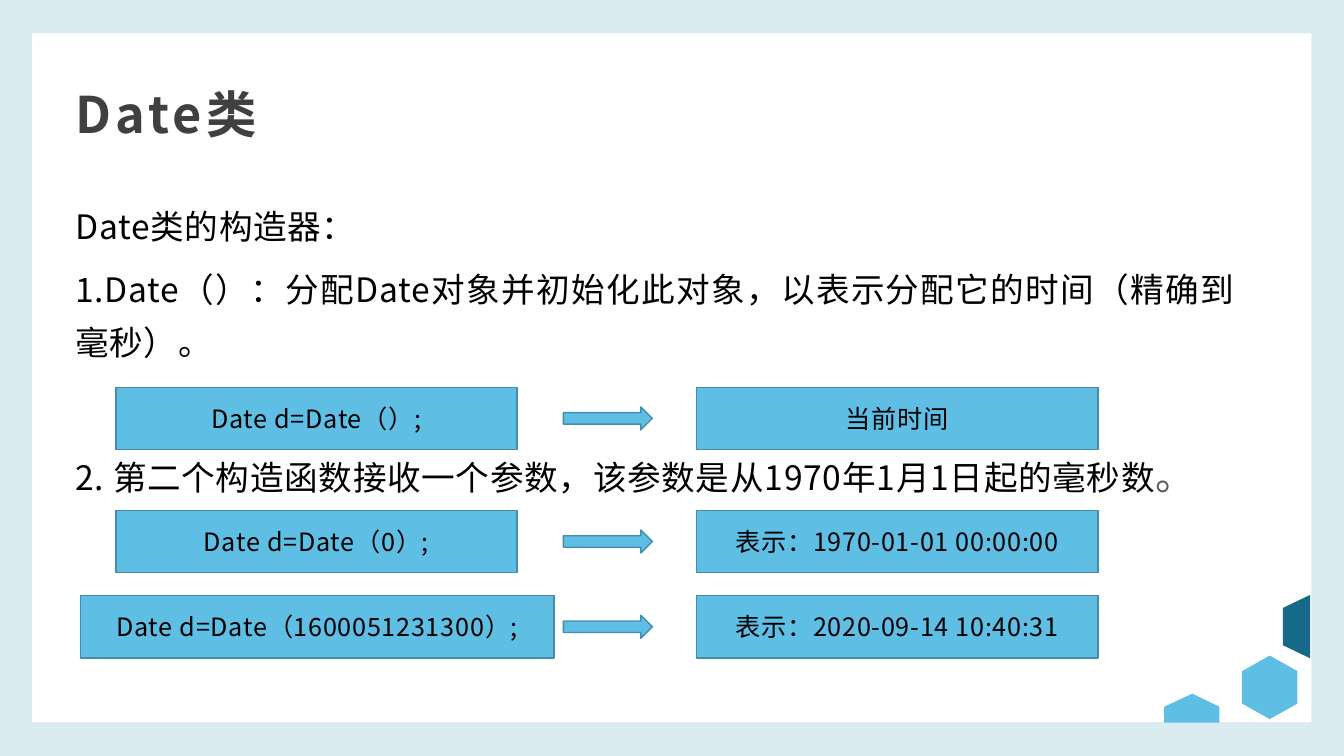
import pptx
import pptx.dml.color
import pptx.enum.shapes
import pptx.enum.text
import pptx.oxml.ns
import pptx.util
from lxml import etree

Cm = pptx.util.Cm
Pt = pptx.util.Pt
RGBColor = pptx.dml.color.RGBColor
MSO_SHAPE = pptx.enum.shapes.MSO_SHAPE
PP_ALIGN = pptx.enum.text.PP_ALIGN
MSO_ANCHOR = pptx.enum.text.MSO_ANCHOR

FONT = "Noto Sans CJK SC"
PALE = RGBColor(0xDB, 0xEC, 0xF1)
WHITE = RGBColor(0xFF, 0xFF, 0xFF)
BLUE = RGBColor(0x5E, 0xBE, 0xE4)
DARK_BLUE = RGBColor(0x17, 0x69, 0x8A)
OUTLINE = RGBColor(0x46, 0x8D, 0xA9)
BLACK = RGBColor(0, 0, 0)
TITLE_GREY = RGBColor(0x40, 0x40, 0x40)
GREY = RGBColor(0x59, 0x59, 0x59)

TITLE = "Date类"
BODY_STYLE = {"size": Pt(24), "color": BLACK}
STOP_STYLE = {"size": Pt(28), "color": GREY}
# Each paragraph: space before in points, then its runs
BODY = [
    (0, [("Date类的构造器：", BODY_STYLE)]),
    (0, [("1.Date（）：分配Date对象并初始化此对象，以表示分配它的时间（精确到毫秒）。", BODY_STYLE)]),
    (46, [("2. 第二个构造函数接收一个参数，该参数是从1970年1月1日起的毫秒数", BODY_STYLE),
          ("。", STOP_STYLE)]),
]
# Lengths in cm: top, left and width of the code box, code, result
EXAMPLES = [
    (9.76, 2.92, 10.11, "Date d=Date（）;", "当前时间"),
    (12.86, 2.92, 10.11, "Date d=Date（0）;", "表示：1970-01-01 00:00:00"),
    (15.01, 2.03, 11.93, "Date d=Date（1600051231300）;", "表示：2020-09-14 10:40:31"),
]
BOX_HEIGHT = 1.57
RESULT_LEFT, RESULT_WIDTH = 17.55, 10.12
ARROW_LEFT, ARROW_WIDTH, ARROW_HEIGHT = 14.2, 2.24, 0.58
# Corner points in hundredths of a centimetre
CUT_HEXAGONS = [
    (BLUE, [(3005, 1748), (3073, 1781), (3073, 1821), (2934, 1821), (2934, 1781)]),
    (DARK_BLUE, [(3302, 1499), (3233, 1532), (3233, 1626), (3302, 1659)]),
]


def paint(shape, fill, line=None):
    shape.shadow.inherit = False
    shape.fill.solid()
    shape.fill.fore_color.rgb = fill
    if line is None:
        shape.line.fill.background()
    else:
        shape.line.color.rgb = line
        shape.line.width = Pt(1)


def add_shape(slide, kind, left, top, width, height, fill, line=None):
    shape = slide.shapes.add_shape(kind, Cm(left), Cm(top), Cm(width), Cm(height))
    paint(shape, fill, line)
    return shape


def add_run(paragraph, text, size, color, spacing=0.5, bold=False):
    """Add a run; spacing is the letter spacing in points."""
    run = paragraph.add_run()
    run.text = text
    run.font.color.rgb = color
    for name, value in {"size": size, "bold": bold, "name": FONT}.items():
        setattr(run.font, name, value)
    properties = run._r.get_or_add_rPr()
    properties.set("spc", str(int(spacing * 100)))
    east_asian = etree.SubElement(properties, pptx.oxml.ns.qn("a:ea"))
    east_asian.set("typeface", FONT)


def format_frame(frame, anchor, bottom=0.1):
    values = {"word_wrap": True, "vertical_anchor": anchor,
              "auto_size": pptx.enum.text.MSO_AUTO_SIZE.NONE,
              "margin_left": Cm(0.2), "margin_right": Cm(0.2),
              "margin_top": Cm(0.1), "margin_bottom": Cm(bottom)}
    for name, value in values.items():
        setattr(frame, name, value)


def format_paragraph(paragraph, **values):
    for name, value in values.items():
        setattr(paragraph, name, value)


def add_decoration(slide):
    add_shape(slide, MSO_SHAPE.RECTANGLE, 0.81, 0.84, 32.24, 17.36, WHITE)
    hexagon = add_shape(slide, MSO_SHAPE.HEXAGON, 31.2, 16.62, 1.6, 1.4, BLUE)
    hexagon.rotation = 270
    hexagon.adjustments[0] = 0.28
    for color, points in CUT_HEXAGONS:
        builder = slide.shapes.build_freeform(*points[0], scale=Cm(0.01))
        builder.add_line_segments(points[1:], close=True)
        paint(builder.convert_to_shape(), color)


def add_title(slide):
    title = slide.shapes.title
    title.left, title.top, title.width, title.height = Cm(1.7), Cm(1.32), Cm(30.48), Cm(3.45)
    format_frame(title.text_frame, MSO_ANCHOR.MIDDLE, bottom=0.3)
    paragraph = title.text_frame.paragraphs[0]
    format_paragraph(paragraph, alignment=PP_ALIGN.LEFT, line_spacing=0.9,
                     space_before=Pt(0), space_after=Pt(8))
    add_run(paragraph, TITLE, Pt(36), TITLE_GREY, spacing=3, bold=True)
    # Bring the title in front of the white panel
    slide.shapes._spTree.append(title._element)


def add_body(slide):
    frame = slide.shapes.add_textbox(Cm(1.7), Cm(4.78), Cm(29.62), Cm(12.4)).text_frame
    format_frame(frame, MSO_ANCHOR.TOP)
    for index, (space_before, runs) in enumerate(BODY):
        paragraph = frame.add_paragraph() if index else frame.paragraphs[0]
        format_paragraph(paragraph, alignment=PP_ALIGN.JUSTIFY, line_spacing=1.3,
                         space_before=Pt(space_before), space_after=Pt(8))
        for text, style in runs:
            add_run(paragraph, text, **style)


def add_example(slide, top, code_left, code_width, code, result):
    boxes = [(code_left, code_width, code), (RESULT_LEFT, RESULT_WIDTH, result)]
    for left, width, text in boxes:
        box = add_shape(slide, MSO_SHAPE.RECTANGLE, left, top, width, BOX_HEIGHT, BLUE, OUTLINE)
        box.text_frame.word_wrap = True
        box.text_frame.vertical_anchor = MSO_ANCHOR.MIDDLE
        paragraph = box.text_frame.paragraphs[0]
        paragraph.alignment = PP_ALIGN.CENTER
        add_run(paragraph, text, Pt(18), BLACK)
    arrow_top = top + (BOX_HEIGHT - ARROW_HEIGHT) / 2
    add_shape(slide, MSO_SHAPE.RIGHT_ARROW, ARROW_LEFT, arrow_top,
              ARROW_WIDTH, ARROW_HEIGHT, BLUE, OUTLINE)


def main():
    presentation = pptx.Presentation()
    presentation.slide_width, presentation.slide_height = Cm(33.87), Cm(19.05)
    slide = presentation.slides.add_slide(presentation.slide_layouts.get_by_name("Title Only"))
    slide.background.fill.solid()
    slide.background.fill.fore_color.rgb = PALE
    add_decoration(slide)
    add_body(slide)
    add_title(slide)
    for example in EXAMPLES:
        add_example(slide, *example)
    presentation.save("out.pptx")


if __name__ == "__main__":
    main()
